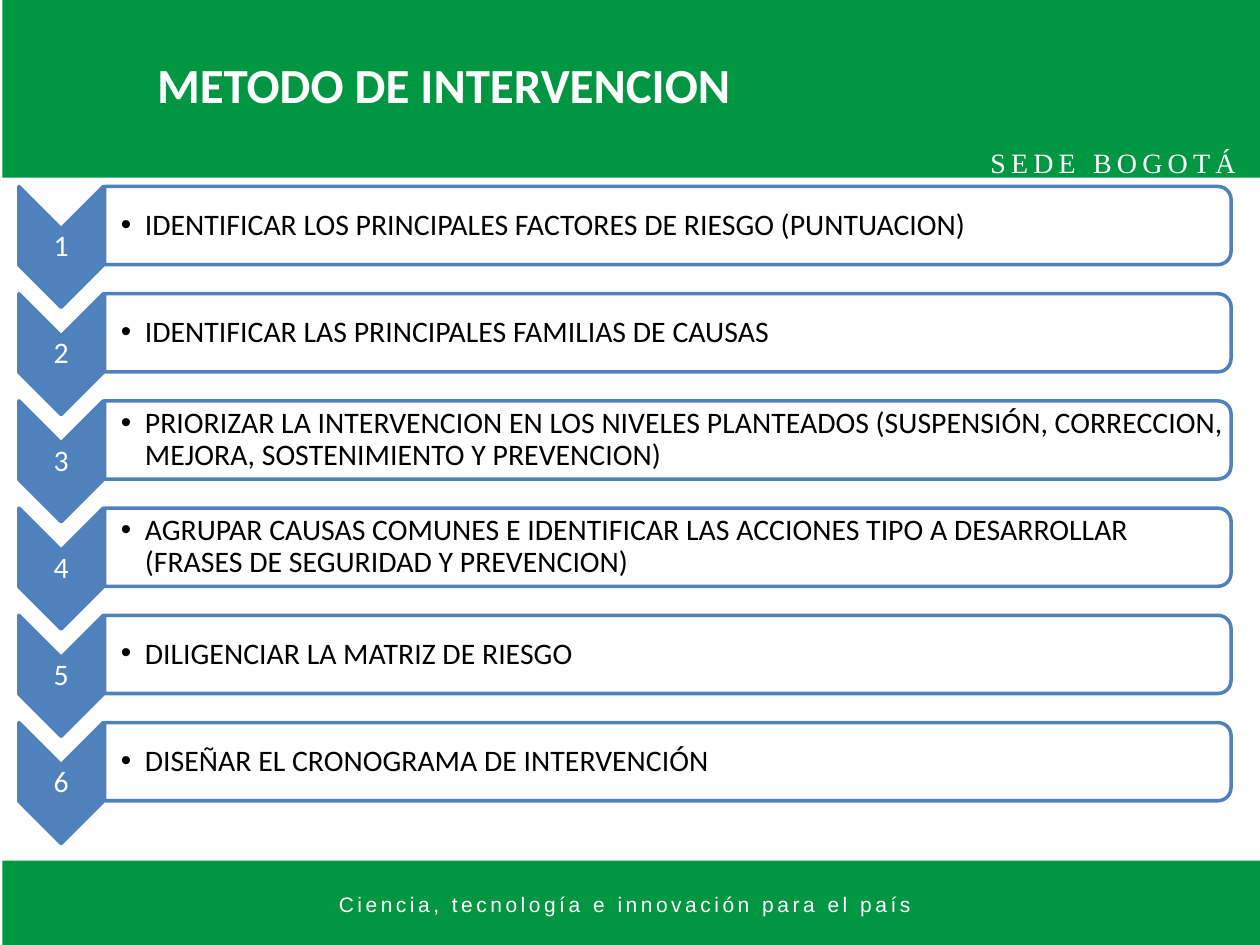
"""Builds the intervention method slide: six numbered steps between two green bands."""
from lxml import etree
from pptx import Presentation
from pptx import util as u
from pptx.dml.color import RGBColor
from pptx.enum import shapes, text
from pptx.oxml.ns import qn

COLOURS = {"green": "009642", "blue": "4F81BD", "white": "FFFFFF", "black": "000000"}
TITLE = "METODO DE INTERVENCION"
CAMPUS = "SEDE BOGOTÁ"
MOTTO = "Ciencia, tecnología e innovación para el país "
STEPS = [
    "IDENTIFICAR LOS PRINCIPALES FACTORES DE RIESGO (PUNTUACION)",
    "IDENTIFICAR LAS PRINCIPALES FAMILIAS DE CAUSAS ",
    "PRIORIZAR LA INTERVENCION EN LOS NIVELES PLANTEADOS (SUSPENSIÓN, CORRECCION, "
    "MEJORA, SOSTENIMIENTO Y PREVENCION)",
    "AGRUPAR CAUSAS COMUNES E IDENTIFICAR LAS ACCIONES TIPO A DESARROLLAR "
    "(FRASES DE SEGURIDAD Y PREVENCION)",
    "DILIGENCIAR LA MATRIZ DE RIESGO ",
    "DISEÑAR EL CRONOGRAMA DE INTERVENCIÓN ",
]
WIDTH, HEIGHT = 10, 7.5
FIRST_ROW, ROW_PITCH = 1.48, 0.851
CHEVRON_LEFT, CHEVRON_WIDTH, CHEVRON_HEIGHT = 0.15, 0.67, 0.96
PANEL_LEFT, PANEL_WIDTH, PANEL_HEIGHT = 0.83, 8.94, 0.62
INSET = 0.01

deck = Presentation()
deck.slide_width, deck.slide_height = u.Inches(WIDTH), u.Inches(HEIGHT)
page = deck.slides.add_slide(deck.slide_layouts[5])


def colour(name):
    return RGBColor.from_string(COLOURS[name])


def add_figure(kind, left, top, width, height, fill, line=None, turned=False, alpha=None):
    """Add a preset shape that fills the given frame, turned a quarter if asked."""
    if turned:
        left, top = left + (width - height) / 2, top + (height - width) / 2
        width, height = height, width
    figure = page.shapes.add_shape(kind, *map(u.Inches, (left, top, width, height)))
    figure.rotation = 90 if turned else 0
    figure.shadow.inherit = False
    figure.fill.solid()
    figure.fill.fore_color.rgb = colour(fill)
    if alpha:
        tint = figure.element.spPr.find(qn("a:solidFill"))[0]
        etree.SubElement(tint, qn("a:alpha"), val=str(alpha * 1000))
    if line:
        figure.line.color.rgb = colour(line)
        figure.line.width = u.Pt(2)
    else:
        figure.line.fill.background()


def write(content, frame, box=None, size=17, font="Calibri", ink="white", bold=False,
          tracking=0, bullet=False, insets=(0.1, 0.05, 0.1, 0.05), spacing=None,
          anchor=text.MSO_ANCHOR.MIDDLE):
    """Write one paragraph in a new text box or in the given placeholder."""
    frame = [u.Inches(value) for value in frame]
    box = box or page.shapes.add_textbox(*frame)
    box.left, box.top, box.width, box.height = frame
    body = box.text_frame
    body.word_wrap, body.vertical_anchor = True, anchor
    (body.margin_left, body.margin_top,
     body.margin_right, body.margin_bottom) = map(u.Inches, insets)
    para = body.paragraphs[0]
    para.alignment = text.PP_ALIGN.LEFT if bullet else text.PP_ALIGN.CENTER
    para.line_spacing = spacing
    if bullet:
        layout = para._p.get_or_add_pPr()
        layout.set("marL", str(u.Inches(0.19)))
        layout.set("indent", str(-u.Inches(0.19)))
        etree.SubElement(layout, qn("a:buFont"), typeface="Arial")
        etree.SubElement(layout, qn("a:buChar"), char="•")
    span = para.add_run()
    span.text = content
    span.font.size, span.font.name, span.font.bold = u.Pt(size), font, bold
    span.font.color.rgb = colour(ink)
    if tracking:
        span.font._element.set("spc", str(tracking * 100))


for top, height in ((0, 1.41), (6.83, 0.7)):
    add_figure(shapes.MSO_SHAPE.RECTANGLE, 0.02, top, WIDTH, height, "green")
write(MOTTO, (0, 7.03, WIDTH, 0.3), size=12, font="Arial", tracking=2,
      anchor=text.MSO_ANCHOR.TOP)
write(CAMPUS, (7.27, 1.11, 3.13, 0.37), size=16, font="Times New Roman", tracking=3,
      anchor=text.MSO_ANCHOR.TOP)

title = page.shapes.title
title.element.getparent().append(title.element)
write(TITLE, (0.16, 0, 6.72, 1.33), box=title, size=28, bold=True)

for index, step in enumerate(STEPS):
    top = FIRST_ROW + index * ROW_PITCH
    add_figure(shapes.MSO_SHAPE.CHEVRON, CHEVRON_LEFT, top, CHEVRON_WIDTH, CHEVRON_HEIGHT,
               "blue", line="blue", turned=True)
    write(str(index + 1), (CHEVRON_LEFT, top + CHEVRON_WIDTH / 2, CHEVRON_WIDTH, 0.29),
          insets=[INSET] * 4, spacing=0.9)
    add_figure(shapes.MSO_SHAPE.ROUND_2_SAME_RECTANGLE, PANEL_LEFT, top, PANEL_WIDTH,
               PANEL_HEIGHT, "white", line="blue", turned=True, alpha=90)
    write(step, (PANEL_LEFT, top + 0.03, PANEL_WIDTH - 0.03, PANEL_HEIGHT - 0.06),
          ink="black", bullet=True, insets=(0.13, INSET, INSET, INSET), spacing=0.9)

deck.save("out.pptx")
